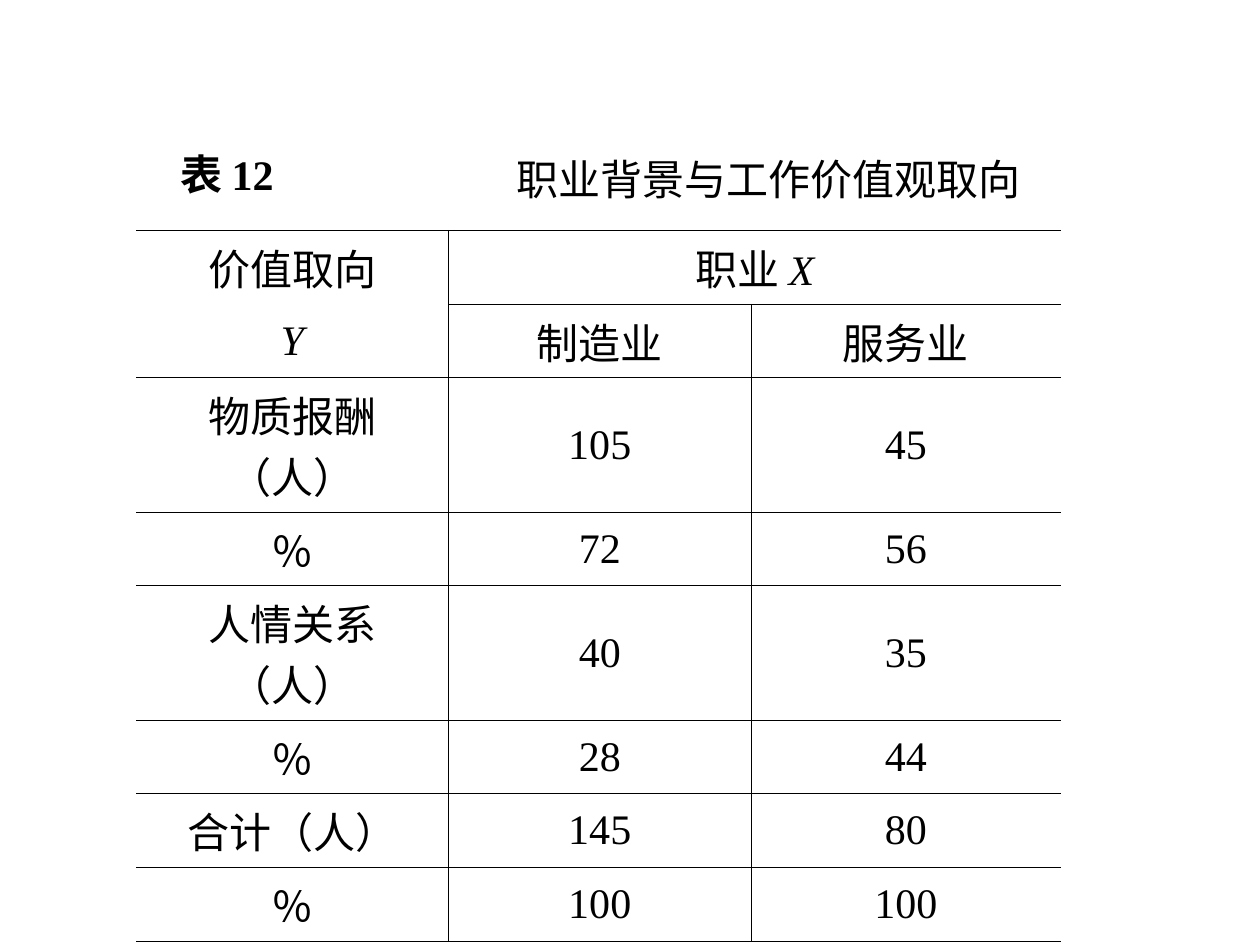
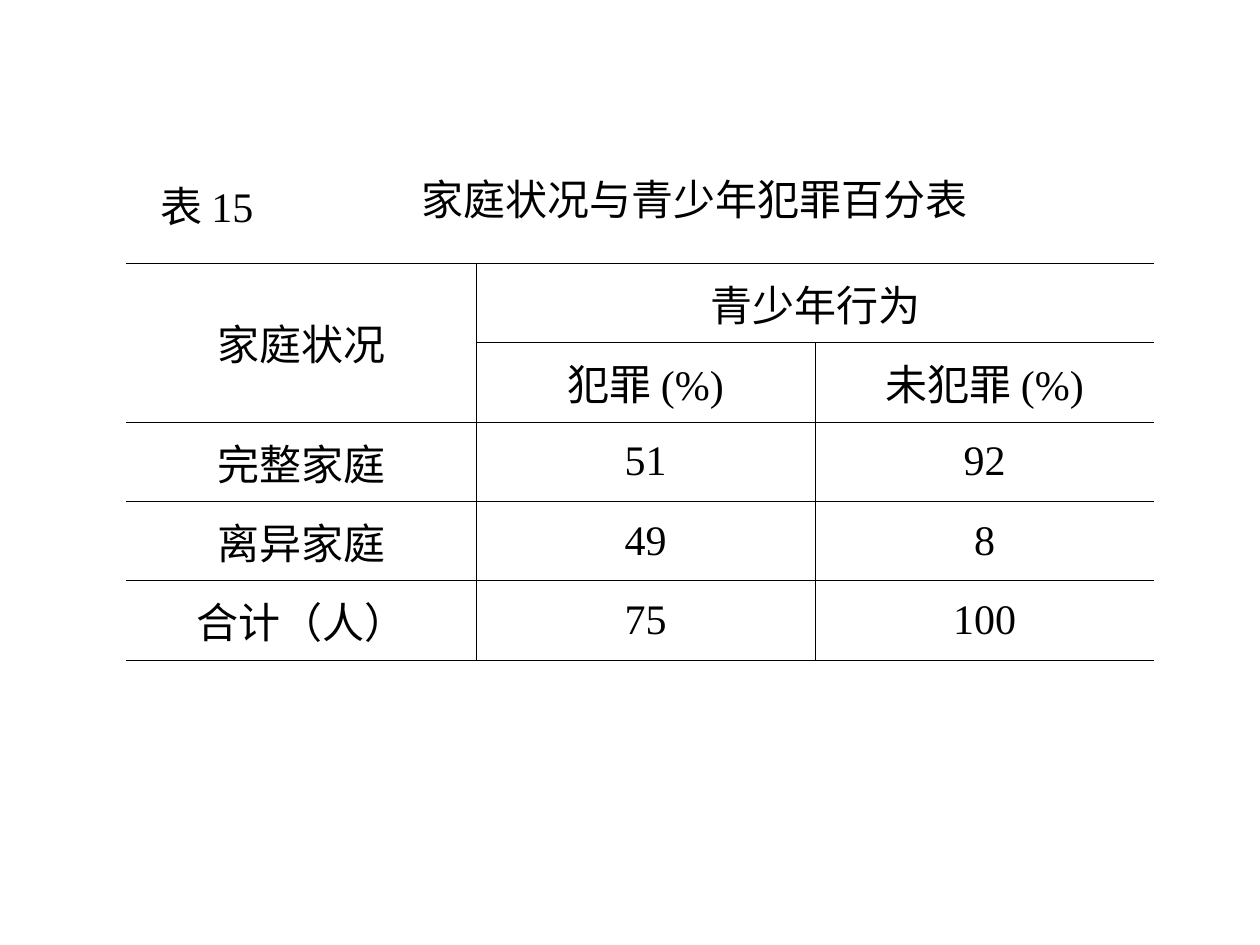
"""Build two slides of cross tables with ruled groups of rows."""
from lxml.etree import SubElement
from pptx import Presentation
from pptx.dml.color import RGBColor
from pptx.enum.text import MSO_ANCHOR, MSO_AUTO_SIZE, PP_ALIGN
from pptx.oxml.ns import qn
from pptx.util import Inches, Pt

BLACK = RGBColor(0x00, 0x00, 0x00)
FONT = "Times New Roman"
TEXT_SIZE = Pt(24)
RULE_WIDTH = Pt(0.45)
VARIABLES = ("X", "Y")
TITLE_ONLY = 5
PLAIN_STYLE = "{2D5ABB26-0587-4C30-8999-92F81FD0307C}"

CROSS_TABLES = [
    {
        "title": "表 12",
        "title_bold": True,
        "title_at": (1.33, 1.17, 1.67, 0.42),
        "caption": "职业背景与工作价值观取向",
        "caption_at": (4, 1.17, 4.5, 0.5),
        "table_at": (1.08, 1.83),
        "columns": (2.48, 2.4, 2.46),
        "heights": (0.5, 0.5, 0.9, 0.5, 0.9, 0.5, 0.5, 0.5),
        "rules": (0, 2, 4, 6, 8),
        "rows": [
            (["价值取向"], ["职业 ", "X"], []),
            (["Y"], ["制造业"], ["服务业"]),
            (["物质报酬（人）"], ["105"], ["45"]),
            (["％"], ["72"], ["56"]),
            (["人情关系（人）"], ["40"], ["35"]),
            (["％"], ["28"], ["44"]),
            (["合计（人）"], ["145"], ["80"]),
            (["％"], ["100"], ["100"]),
        ],
    },
    {
        "title": "表 15",
        "title_bold": False,
        "title_at": (1.17, 1.42, 1.67, 0.42),
        "caption": "家庭状况与青少年犯罪百分表",
        "caption_at": (3.25, 1.33, 5.25, 0.5),
        "table_at": (1, 2.09),
        "columns": (2.78, 2.69, 2.69),
        "heights": (0.63,) * 5,
        "rules": (0, 2, 4, 5),
        "rows": [
            (["家庭状况"], ["青少年行为"], []),
            ([], ["犯罪 (%)"], ["未犯罪 (%)"]),
            (["完整家庭"], ["51"], ["92"]),
            (["离异家庭"], ["49"], ["8"]),
            (["合计（人）"], ["75"], ["100"]),
        ],
    },
]


def style_font(font, bold=False, italic=False):
    font.name = FONT
    font.size = TEXT_SIZE
    font.bold = bold
    font.italic = italic
    font.color.rgb = BLACK


def write_line(box, text, bold=False):
    box.text_frame.text = text
    para = box.text_frame.paragraphs[0]
    para.alignment = PP_ALIGN.LEFT
    style_font(para.runs[0].font, bold)


def add_title(page, content):
    title = page.shapes.title
    title.left, title.top, title.width, title.height = map(Inches, content["title_at"])
    write_line(title, content["title"], content["title_bold"])
    title.text_frame.vertical_anchor = MSO_ANCHOR.MIDDLE
    title.text_frame.auto_size = MSO_AUTO_SIZE.NONE


def add_caption(page, content):
    box = page.shapes.add_textbox(*map(Inches, content["caption_at"]))
    box.text_frame.word_wrap = True
    box.text_frame.auto_size = MSO_AUTO_SIZE.SHAPE_TO_FIT_TEXT
    write_line(box, content["caption"])


def add_border(cell, side):
    line = SubElement(cell._tc.get_or_add_tcPr(), qn(f"a:ln{side}"), w=str(int(RULE_WIDTH)))
    fill = SubElement(line, qn("a:solidFill"))
    SubElement(fill, qn("a:srgbClr"), val=str(BLACK))


def border_sides(row, column, last_column, rules):
    """Return the ruled sides of a cell, in the order the file format asks for."""
    def vertical(edge):
        return edge == 1 or (row > 0 and 0 < edge <= last_column)

    def horizontal(edge):
        return edge in rules or (edge == 1 and column > 0)

    ruled = {"L": vertical(column), "R": vertical(column + 1),
             "T": horizontal(row), "B": horizontal(row + 1)}
    return [side for side, present in ruled.items() if present]


def write_cell(cell, spans):
    cell.vertical_anchor = MSO_ANCHOR.MIDDLE
    para = cell.text_frame.paragraphs[0]
    para.alignment = PP_ALIGN.CENTER
    for text in spans:
        span = para.add_run()
        span.text = text
        style_font(span.font, italic=text in VARIABLES)


def add_cross_table(page, content):
    rows, columns, heights = content["rows"], content["columns"], content["heights"]
    left, top = content["table_at"]
    frame = page.shapes.add_table(
        len(rows), len(columns), Inches(left), Inches(top),
        Inches(sum(columns)), Inches(sum(heights)))
    table = frame.table
    table.first_row = table.horz_banding = False
    table._tbl.tblPr.find(qn("a:tableStyleId")).text = PLAIN_STYLE
    for column, width in zip(table.columns, columns):
        column.width = Inches(width)
    for row, height in zip(table.rows, heights):
        row.height = Inches(height)
    for row, values in enumerate(rows):
        for column, spans in enumerate(values):
            cell = table.cell(row, column)
            for side in border_sides(row, column, len(columns) - 1, content["rules"]):
                add_border(cell, side)
            cell.fill.background()
            if spans:
                write_cell(cell, spans)
    table.cell(0, 1).merge(table.cell(0, 2))
    if not rows[1][0]:
        table.cell(0, 0).merge(table.cell(1, 0))


def main():
    deck = Presentation()
    deck.slide_width, deck.slide_height = Inches(10), Inches(7.5)
    for content in CROSS_TABLES:
        page = deck.slides.add_slide(deck.slide_layouts[TITLE_ONLY])
        add_title(page, content)
        add_cross_table(page, content)
        add_caption(page, content)
    deck.save("out.pptx")


if __name__ == "__main__":
    main()
